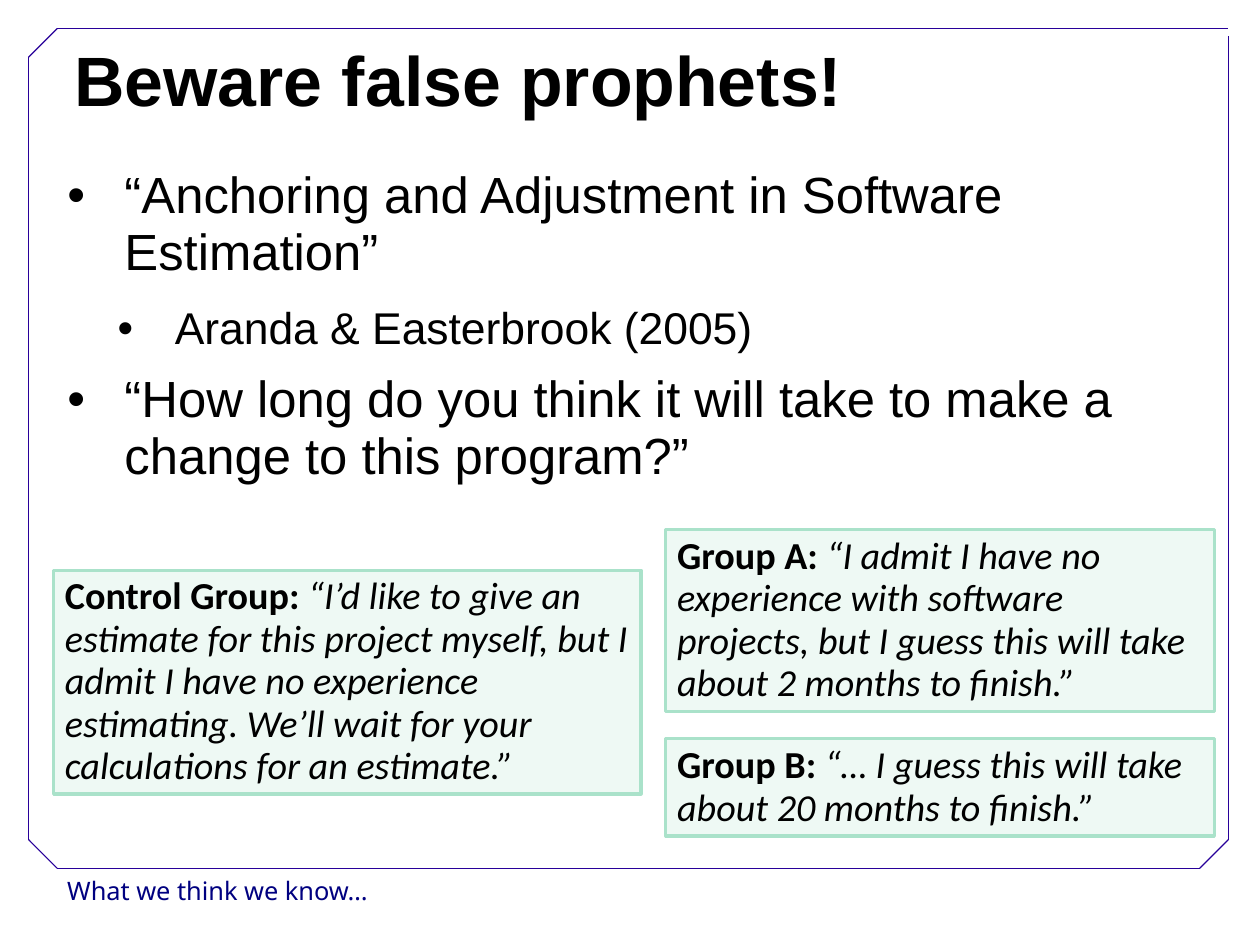
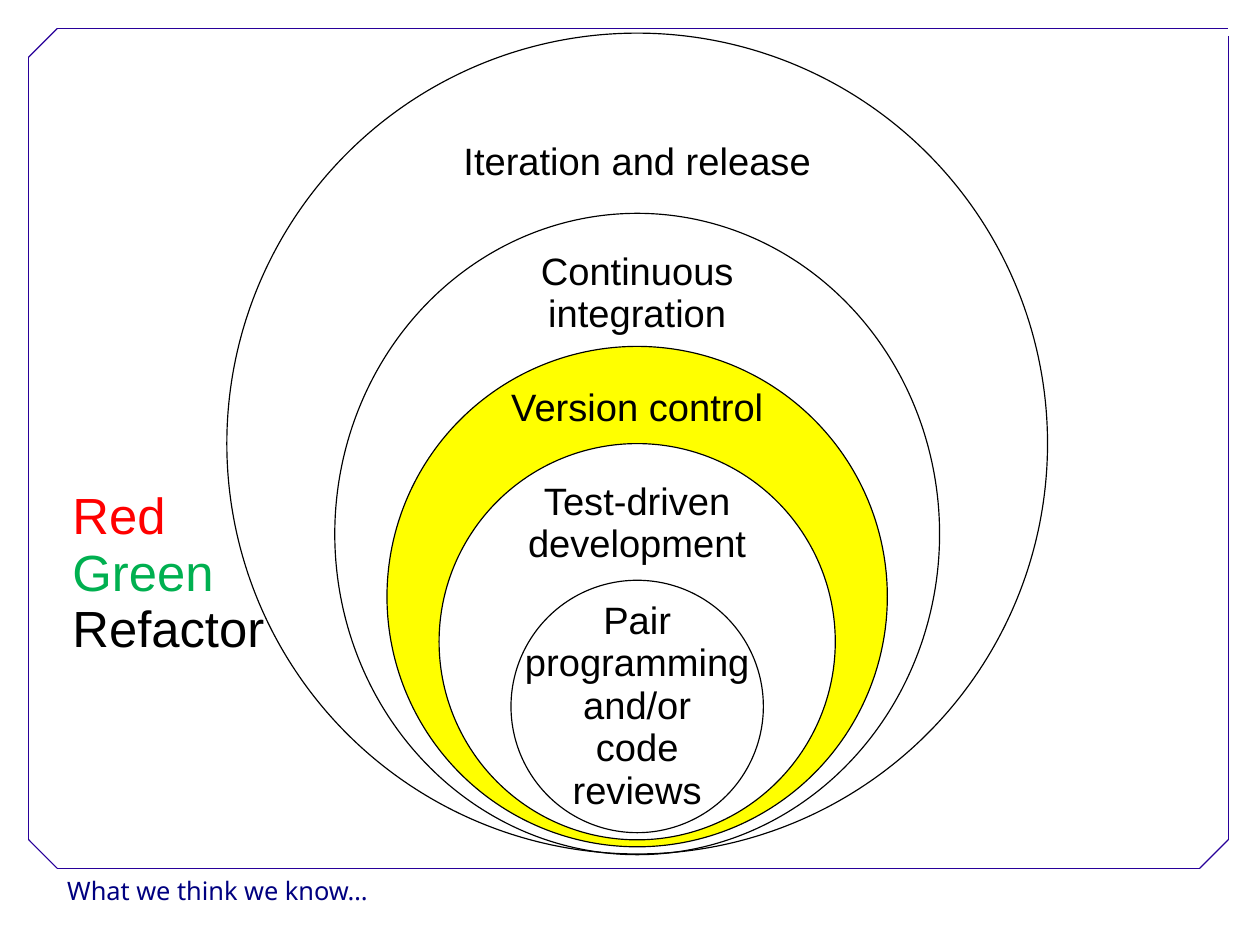
from lxml import etree
from pptx import Presentation
from pptx.dml.color import RGBColor
from pptx.enum.shapes import MSO_CONNECTOR, MSO_SHAPE
from pptx.enum.text import MSO_ANCHOR, MSO_AUTO_SIZE, PP_ALIGN
from pptx.oxml.ns import qn
from pptx.util import Pt

LINE = MSO_CONNECTOR.STRAIGHT
RECT, OVAL = MSO_SHAPE.RECTANGLE, MSO_SHAPE.OVAL
LEFT, MID = PP_ALIGN.LEFT, PP_ALIGN.CENTER
TOP, CENTRE = MSO_ANCHOR.TOP, MSO_ANCHOR.MIDDLE
FIXED = MSO_AUTO_SIZE.NONE

WIDE, HIGH = 793.75, 595.25
BLACK, WHITE, YELLOW = "000000", "FFFFFF", "FFFF00"
RED, GREEN, NAVY, VIOLET = "FF0000", "00B050", "000080", "280099"
MINT, PALE = "AAE2CA", "EEF9F4"
TIGHT = 0.93


def color(text):
    return RGBColor.from_string(text)


def place(shape, box):
    shape.left, shape.top, shape.width, shape.height = map(Pt, box)


def style(para, size, ink=BLACK, face="Arial", align=LEFT, space=TIGHT):
    para.alignment = align
    para.line_spacing = space
    para.space_before = Pt(0)
    font = para.font
    font.name, font.size = face, Pt(size)
    font.color.rgb = color(ink)


def set_frame(frame, anchor=TOP, wrap=True):
    frame.word_wrap = wrap
    frame.auto_size = FIXED
    frame.vertical_anchor = anchor


def add_form(slide, kind, box, fill, ink, width):
    form = slide.shapes.add_shape(kind, *map(Pt, box))
    form.shadow.inherit = False
    if fill:
        form.fill.solid()
        form.fill.fore_color.rgb = color(fill)
    else:
        form.fill.background()
    form.line.color.rgb = color(ink)
    form.line.width = Pt(width)
    return form


def add_text(slide, box, lines, size, wrap=True, **look):
    """Each line is a pair of text and colour."""
    frame = slide.shapes.add_textbox(*map(Pt, box)).text_frame
    set_frame(frame, wrap=wrap)
    for i, (text, ink) in enumerate(lines):
        para = frame.add_paragraph() if i else frame.paragraphs[0]
        para.text = text
        style(para, size, ink, **look)


# Shared border with cut corners, and footer
def add_border(slide, box):
    x, y, w, h = box
    cut, gap = 18, 5
    right, low = x + w, y + h
    for ends in (
        (x + cut, low, right - cut, low),
        (x, low - cut, x, y + cut),
        (x + cut, y, right, y),
        (right, low - cut, right, y + gap),
        (x, y + cut, x + cut, y),
        (right - cut, low, right, low - cut),
        (x, low - cut, x + cut, low),
    ):
        line = slide.shapes.add_connector(LINE, *map(Pt, ends))
        line.line.color.rgb = color(VIOLET)
        line.line.width = Pt(0.75)
        etree.SubElement(line._element.spPr, qn("a:effectLst"))
    add_text(slide, (x + 17.3, low + 0.2, 155, 29),
             [("What we think we know…", NAVY)],
             16, wrap=False, face="Noto Sans", space=1.02)


def new_slide(deck, layout):
    slide = deck.slides.add_slide(deck.slide_layouts[layout])
    add_border(slide, (18, 18, 755.8, 528.9))
    return slide


def add_title(slide, box, text):
    title = slide.shapes.title
    place(title, box)
    frame = title.text_frame
    set_frame(frame, CENTRE)
    frame.text = text
    style(frame.paragraphs[0], 44)
    frame.paragraphs[0].font.bold = True


def add_bullet(para, left):
    props = para._p.get_or_add_pPr()
    props.set("marL", str(Pt(left)))
    props.set("indent", str(-Pt(36)))
    etree.SubElement(props, qn("a:buFont")).set("typeface", "Arial")
    etree.SubElement(props, qn("a:buChar")).set("char", "•")


def add_list(slide, box, items):
    body = slide.placeholders[1]
    place(body, box)
    frame = body.text_frame
    set_frame(frame)
    looks = ((36, 32, 14.3), (67.7, 28, 11.4))  # left, size, space after
    for i, (level, text) in enumerate(items):
        para = frame.add_paragraph() if i else frame.paragraphs[0]
        left, size, after = looks[level]
        para.text, para.level = text, level
        add_bullet(para, left)
        style(para, size)
        para.space_after = Pt(after)


def add_quote(slide, box, head, text):
    form = add_form(slide, RECT, box, PALE, MINT, 2)
    set_frame(form.text_frame)
    para = form.text_frame.paragraphs[0]
    style(para, 24, face="Calibri")
    name = para.add_run()
    name.text, name.font.bold = head + ": ", True
    words = para.add_run()
    words.text, words.font.italic = text, True


# Title, list and quoted groups
def prophet_slide(deck):
    slide = new_slide(deck, 1)
    add_title(slide, (39.6, 22, 714, 60.5), "Beware false prophets!")
    add_list(slide, (35.2, 102.6, 720, 427), (
        (0, "“Anchoring and Adjustment in Software Estimation”"),
        (1, "Aranda & Easterbrook (2005)"),
        (0, "“How long do you think it will take to make a change "
            "to this program?”"),
    ))
    add_quote(slide, (33.8, 359.2, 370, 141), "Control Group",
              "“I’d like to give an estimate for this project myself, but I "
              "admit I have no experience estimating. We’ll wait for your "
              "calculations for an estimate.”")
    add_quote(slide, (419.5, 333.7, 345.6, 114.5), "Group A",
              "“I admit I have no experience with software projects, but I "
              "guess this will take about 2 months to finish.”")
    add_quote(slide, (419.5, 465.4, 345.6, 61.2), "Group B",
              "“… I guess this will take about 20 months to finish.”")


# Nested rings on one axis: width, height, top, fill, then label
RINGS = (
    (517, 517, 20.9, None, 235, 85.4, ("Iteration and release",)),
    (381, 404, 134.4, None, 195, 154.6, ("Continuous integration",)),
    (315.2, 315.2, 218.2, YELLOW, 195, 240.5, ("Version control",)),
    (249.6, 249.6, 279.4, WHITE, 160, 299.5, ("Test-driven development",)),
    (159, 159, 365.5, WHITE, 162, 374.5,
     ("Pair programming", "and/or", "code", "reviews")),
)


def add_rings(slide, axis, top):
    for w, h, y, fill, span, head, lines in RINGS:
        add_form(slide, OVAL, (axis - w / 2, top + y, w, h), fill, BLACK, 0.75)
        add_text(slide, (axis - span / 2, top + head, span, 34 * len(lines)),
                 [(line, BLACK) for line in lines], 24, align=MID)


def ring_slide(deck):
    slide = new_slide(deck, 6)
    add_rings(slide, 401.4, 0)
    add_text(slide, (38.5, 304.6, 145.4, 114.5),
             [("Red", RED), ("Green", GREEN), ("Refactor", BLACK)], 32)


def main():
    deck = Presentation()
    deck.slide_width, deck.slide_height = Pt(WIDE), Pt(HIGH)
    prophet_slide(deck)
    ring_slide(deck)
    deck.save("out.pptx")


if __name__ == "__main__":
    main()
